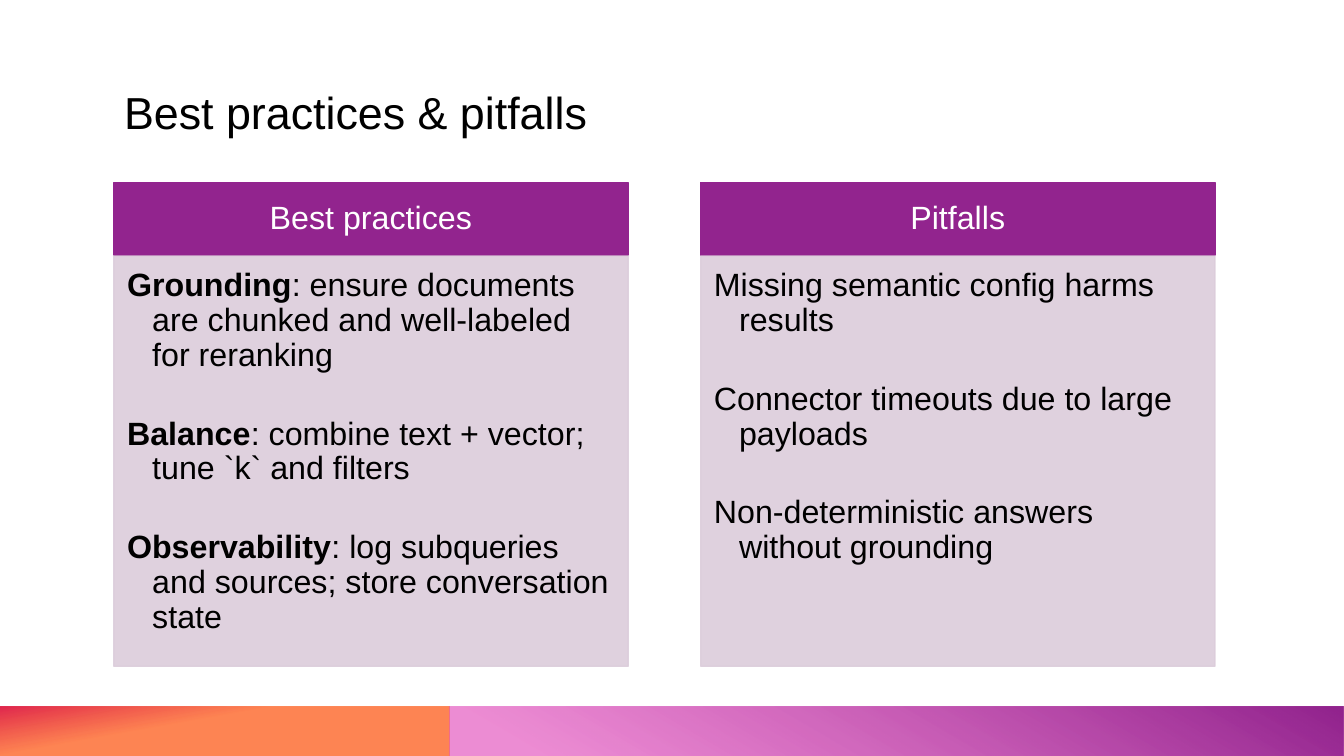
"""Build a slide that sets best practices beside pitfalls."""
from dataclasses import dataclass

from lxml.etree import SubElement
from pptx import Presentation
from pptx.dml.color import RGBColor
from pptx.enum.shapes import MSO_SHAPE
from pptx.enum.text import MSO_ANCHOR, MSO_AUTO_SIZE, PP_ALIGN
from pptx.oxml.ns import qn
from pptx.util import Inches, Pt


@dataclass(frozen=True)
class Theme:
    font: str = "Arial"
    title_size: int = 32
    text_size: int = 23
    black: str = "000000"
    white: str = "FFFFFF"
    purple: str = "92248E"
    lilac: str = "DCCDDB"
    orange: str = "FE4A00"
    red: str = "DA002F"
    pink: str = "E349BB"


theme = Theme()


def set_color(color, value, opacity=100):
    color.rgb = RGBColor.from_string(value)
    if opacity < 100:
        for element in color._xFill.iter(qn("a:srgbClr")):
            SubElement(element, qn("a:alpha"), val=str(opacity * 1000))


def format_paragraph(paragraph, size, color):
    paragraph.line_spacing = 0.9
    paragraph.space_before = Pt(0)
    paragraph.font.name = theme.font
    paragraph.font.size = Pt(size)
    paragraph.font.color.rgb = RGBColor.from_string(color)


presentation = Presentation()
presentation.slide_width = Inches(13.33)
presentation.slide_height = Inches(7.5)
slide = presentation.slides.add_slide(presentation.slide_layouts.get_by_name("Comparison"))

footer_bars = [
    (0, 4.46, 100, [(0.62, theme.orange, 67), (1, theme.red, 85)]),
    (4.46, 8.87, 60, [(0.09, theme.pink, 62), (0.99, theme.purple, 100)]),
]
for left, width, angle, stops in footer_bars:
    bar = slide.shapes.add_shape(
        MSO_SHAPE.RECTANGLE, Inches(left), Inches(7.01), Inches(width), Inches(0.49)
    )
    bar.shadow.inherit = False
    bar.line.fill.background()
    bar.fill.gradient()
    bar.fill.gradient_angle = angle
    for stop, (position, color, opacity) in zip(bar.fill.gradient_stops, stops):
        stop.position = position
        stop.color.rgb = RGBColor.from_string(color)
        SubElement(stop._gs.find(qn("a:srgbClr")), qn("a:alpha"), val=str(opacity * 1000))

title = slide.shapes.title
title.left, title.top, title.width, title.height = map(Inches, (1.13, 0.38, 10.92, 1.05))
title.text_frame.text = "Best practices & pitfalls"
title.text_frame.vertical_anchor = MSO_ANCHOR.BOTTOM
title.text_frame.paragraphs[0].alignment = PP_ALIGN.LEFT
format_paragraph(title.text_frame.paragraphs[0], theme.title_size, theme.black)

columns = [
    ("Best practices", [
        ("Grounding", ": ensure documents are chunked and well-labeled for reranking"),
        ("Balance", ": combine text + vector; tune `k` and filters"),
        ("Observability", ": log subqueries and sources; store conversation state"),
    ]),
    ("Pitfalls", [
        ("", "Missing semantic config harms results"),
        ("", "Connector timeouts due to large payloads"),
        ("", "Non-deterministic answers without grounding"),
    ]),
]
for column, (heading, points) in enumerate(columns):
    header = slide.placeholders[1 + 2 * column]
    body = slide.placeholders[2 + 2 * column]
    panels = [
        (header, 1.81, 0.72, theme.purple, 100, (0.18, 0.1, 0.18, 0.1), MSO_ANCHOR.MIDDLE),
        (body, 2.54, 4.07, theme.lilac, 90, (0.13, 0.13, 0.18, 0.2), MSO_ANCHOR.TOP),
    ]
    for panel, top, height, color, opacity, insets, anchor in panels:
        panel.left, panel.top = Inches(1.13 + 5.82 * column), Inches(top)
        panel.width, panel.height = Inches(5.1), Inches(height)
        panel.fill.solid()
        panel.line.fill.solid()
        panel.line.width = Pt(1)
        for fill in (panel.fill, panel.line.fill):
            fill.fore_color.rgb = RGBColor.from_string(color)
        for element in panel._element.spPr.iter(qn("a:srgbClr")):
            SubElement(element, qn("a:alpha"), val=str(opacity * 1000))
        frame = panel.text_frame
        frame.auto_size = MSO_AUTO_SIZE.NONE
        frame.vertical_anchor = anchor
        frame.margin_left, frame.margin_top, frame.margin_right, frame.margin_bottom = map(
            Inches, insets
        )

    header.text_frame.text = heading
    header_paragraph = header.text_frame.paragraphs[0]
    header_paragraph.alignment = PP_ALIGN.CENTER
    header_paragraph.font.bold = False
    format_paragraph(header_paragraph, theme.text_size, theme.white)

    for index, (term, advice) in enumerate(points):
        frame = body.text_frame
        paragraph = frame.add_paragraph() if index else frame.paragraphs[0]
        if term:
            run = paragraph.add_run()
            run.text = term
            run.font.bold = True
        paragraph.add_run().text = advice
        format_paragraph(paragraph, theme.text_size, theme.black)
        paragraph.space_after = Pt(31.4)
        properties = paragraph._p.get_or_add_pPr()
        properties.set("marL", str(Inches(0.25)))
        properties.set("indent", str(-Inches(0.25)))
        bullet = SubElement(properties, qn("a:buNone"))
        properties.find(qn("a:defRPr")).addprevious(bullet)

presentation.save("out.pptx")
